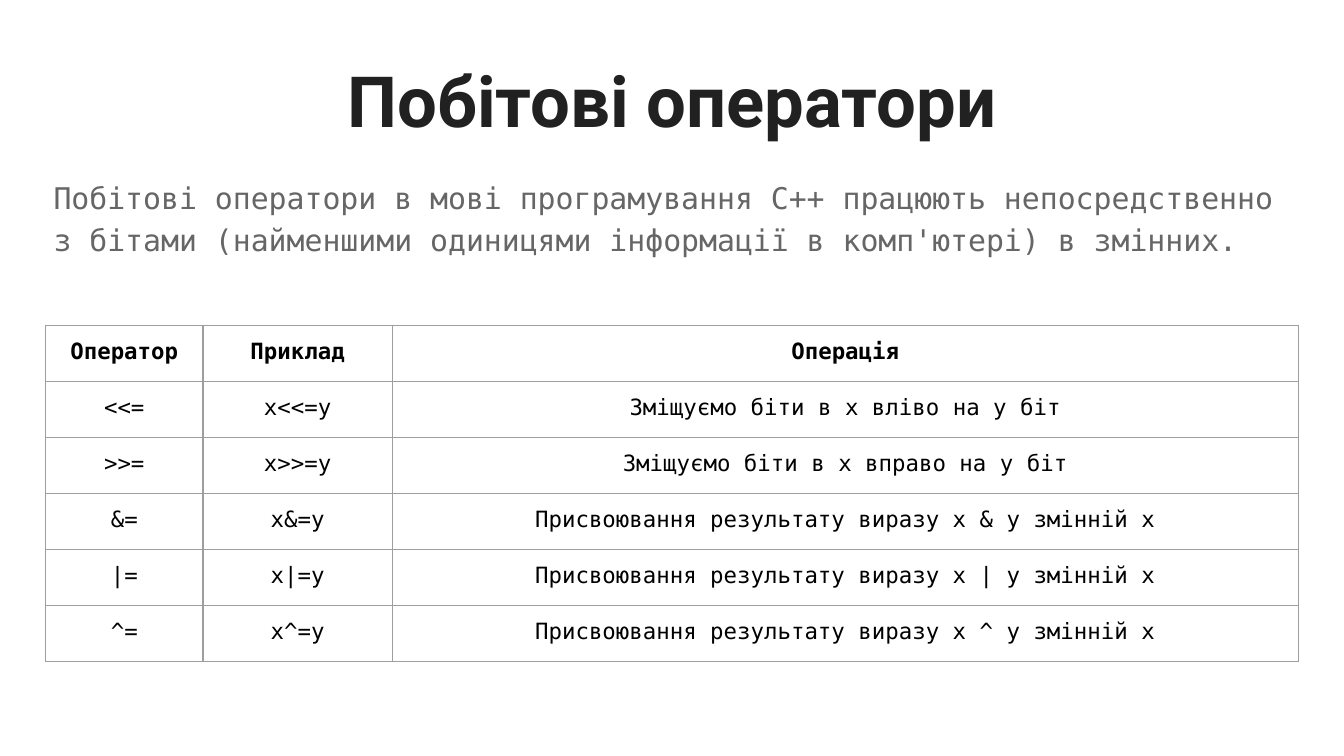
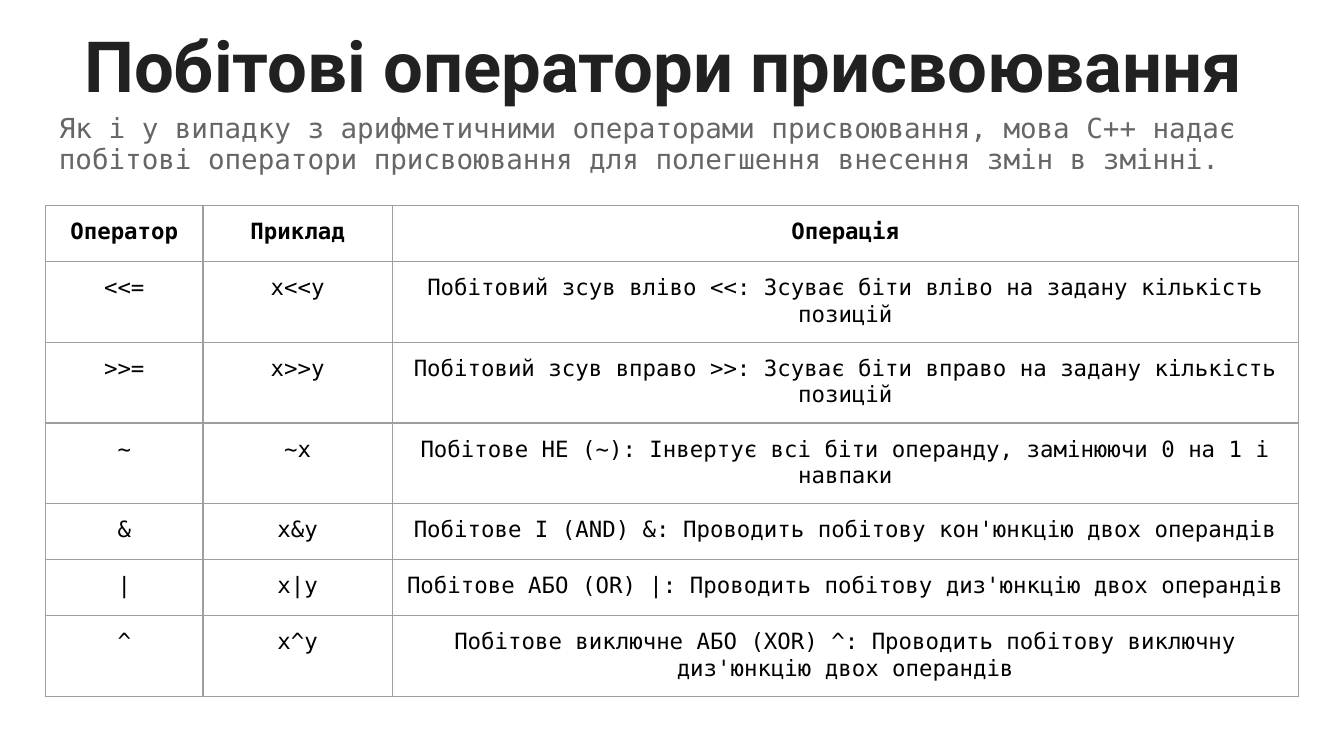
from dataclasses import dataclass

from lxml.etree import SubElement
from pptx import Presentation
from pptx.dml.color import RGBColor
from pptx.enum.text import MSO_ANCHOR as Anchor, PP_ALIGN as Align
from pptx.oxml.ns import qn
from pptx.slide import Slide
from pptx.table import _Cell as Cell
from pptx.text.text import TextFrame
from pptx.util import Inches, Pt

INK = RGBColor(0x21, 0x21, 0x21)
GRAY = RGBColor(0x66, 0x66, 0x66)
BLACK = RGBColor(0, 0, 0)
RULE = RGBColor(0x9E, 0x9E, 0x9E)
WHITE = RGBColor(0xFF, 0xFF, 0xFF)
SANS = "Roboto"
MONO = "DejaVu Sans Mono"

WIDE = 10
TALL = WIDE * 9 / 16
LEFT, WIDTH = 0.34, 9.32
PAD = Inches(0.1)
COLS = (1.17, 1.41, 6.74)
ROW = 2.5 / 6
HEAD = ("Оператор", "Приклад", "Операція")


@dataclass(frozen=True)
class Style:
    font: str
    size: float
    color: RGBColor
    bold: bool = False
    align: Align = Align.CENTER
    space: float | None = None
    after: float = 0


@dataclass(frozen=True)
class Box:
    left: float
    top: float
    height: float


@dataclass(frozen=True)
class Page:
    title: str
    title_top: float
    intro: str
    intro_box: Box
    intro_style: Style
    table_box: Box
    rows: tuple[tuple[str, str, str], ...]


TITLE = Style(SANS, 37.8, INK, bold=True)
HEADER = Style(MONO, 12, BLACK, bold=True)
ENTRY = Style(MONO, 12, BLACK)

PAGES = (
    Page(
        "Побітові оператори",
        0.32,
        "Побітові оператори в мові програмування C++ працюють непосредственно "
        "з бітами (найменшими одиницями інформації в комп'ютері) в змінних.",
        Box(0.3, 1.2, 0.8),
        Style(MONO, 16, GRAY, align=Align.LEFT, space=1.15, after=12),
        Box(LEFT, 2.42, 2.5),
        (
            ("<<=", "x<<=y", "Зміщуємо біти в x вліво на y біт"),
            (">>=", "x>>=y", "Зміщуємо біти в x вправо на y біт"),
            *(
                (f"{sign}=", f"x{sign}=y",
                 f"Присвоювання результату виразу x {sign} y змінній x")
                for sign in "&|^"
            ),
        ),
    ),
    Page(
        "Побітові оператори присвоювання ",
        0.06,
        "Як і у випадку з арифметичними операторами присвоювання, мова C++ надає "
        "побітові оператори присвоювання для полегшення внесення змін в змінні.",
        Box(LEFT, 0.74, 0.93),
        Style(MONO, 14.8, GRAY, align=Align.LEFT, space=0.95, after=12),
        Box(LEFT, 1.53, 3.83),
        (
            ("<<=", "x<<y",
             "Побітовий зсув вліво <<: Зсуває біти вліво на задану кількість позицій"),
            (">>=", "x>>y",
             "Побітовий зсув вправо >>: Зсуває біти вправо на задану кількість позицій"),
            ("~", "~x",
             "Побітове НЕ (~): Інвертує всі біти операнду, замінюючи 0 на 1 і навпаки"),
            ("&", "x&y",
             "Побітове І (AND) &: Проводить побітову кон'юнкцію двох операндів"),
            ("|", "x|y",
             "Побітове АБО (OR) |: Проводить побітову диз'юнкцію двох операндів"),
            ("^", "x^y",
             "Побітове виключне АБО (XOR) ^: Проводить побітову виключну "
             "диз'юнкцію двох операндів"),
        ),
    ),
)


def write(frame: TextFrame, text: str, style: Style) -> None:
    frame.word_wrap = True
    para = frame.paragraphs[0]
    para.text = text
    para.alignment = style.align
    para.line_spacing = style.space
    para.space_after = Pt(style.after)
    font = para.font
    font.name, font.size, font.bold = style.font, Pt(style.size), style.bold
    font.color.rgb = style.color


def add_text(slide: Slide, box: Box, text: str, style: Style) -> None:
    shape = slide.shapes.add_textbox(
        Inches(box.left), Inches(box.top), Inches(WIDTH), Inches(box.height))
    frame = shape.text_frame
    frame.margin_left = frame.margin_right = PAD
    frame.margin_top = frame.margin_bottom = PAD
    frame.vertical_anchor = Anchor.TOP
    write(frame, text, style)


def add_border(cell: Cell) -> None:
    props = cell._tc.get_or_add_tcPr()
    for side in ("lnL", "lnR", "lnT", "lnB"):
        line = SubElement(props, qn(f"a:{side}"), w=str(Pt(0.75)))
        fill = SubElement(line, qn("a:solidFill"))
        SubElement(fill, qn("a:srgbClr"), val=str(RULE))


def add_grid(slide: Slide, box: Box, rows: tuple[tuple[str, str, str], ...]) -> None:
    """Rows keep one height and grow when their text wraps."""
    lines = (HEAD, *rows)
    holder = slide.shapes.add_table(
        len(lines), len(COLS), Inches(box.left), Inches(box.top),
        Inches(WIDTH), Inches(box.height))
    table = holder.table
    table.first_row = table.horz_banding = False
    for col, width in zip(table.columns, COLS):
        col.width = Inches(width)
    for row, line in zip(table.rows, lines):
        row.height = Inches(ROW)
        for cell, text in zip(row.cells, line):
            cell.margin_left = cell.margin_right = PAD
            cell.margin_top = cell.margin_bottom = PAD
            add_border(cell)
            cell.fill.background()
            write(cell.text_frame, text, HEADER if line is HEAD else ENTRY)
    holder.height = Inches(box.height)


def main() -> None:
    deck = Presentation()
    deck.slide_width, deck.slide_height = Inches(WIDE), Inches(TALL)
    blank = deck.slide_layouts[6]
    for page in PAGES:
        slide = deck.slides.add_slide(blank)
        back = slide.background.fill
        back.solid()
        back.fore_color.rgb = WHITE
        add_text(slide, Box(LEFT, page.title_top, 0.88), page.title, TITLE)
        add_text(slide, page.intro_box, page.intro, page.intro_style)
        add_grid(slide, page.table_box, page.rows)
    deck.save("out.pptx")


if __name__ == "__main__":
    main()
